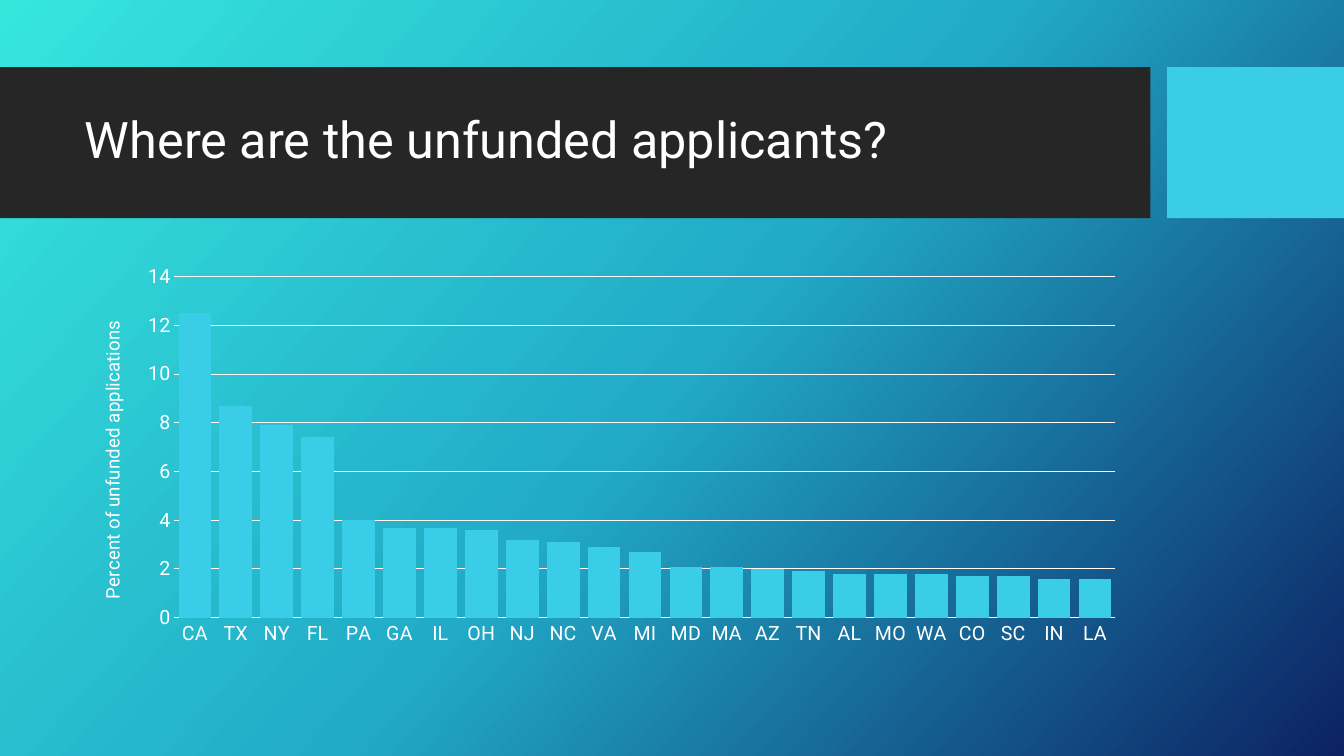
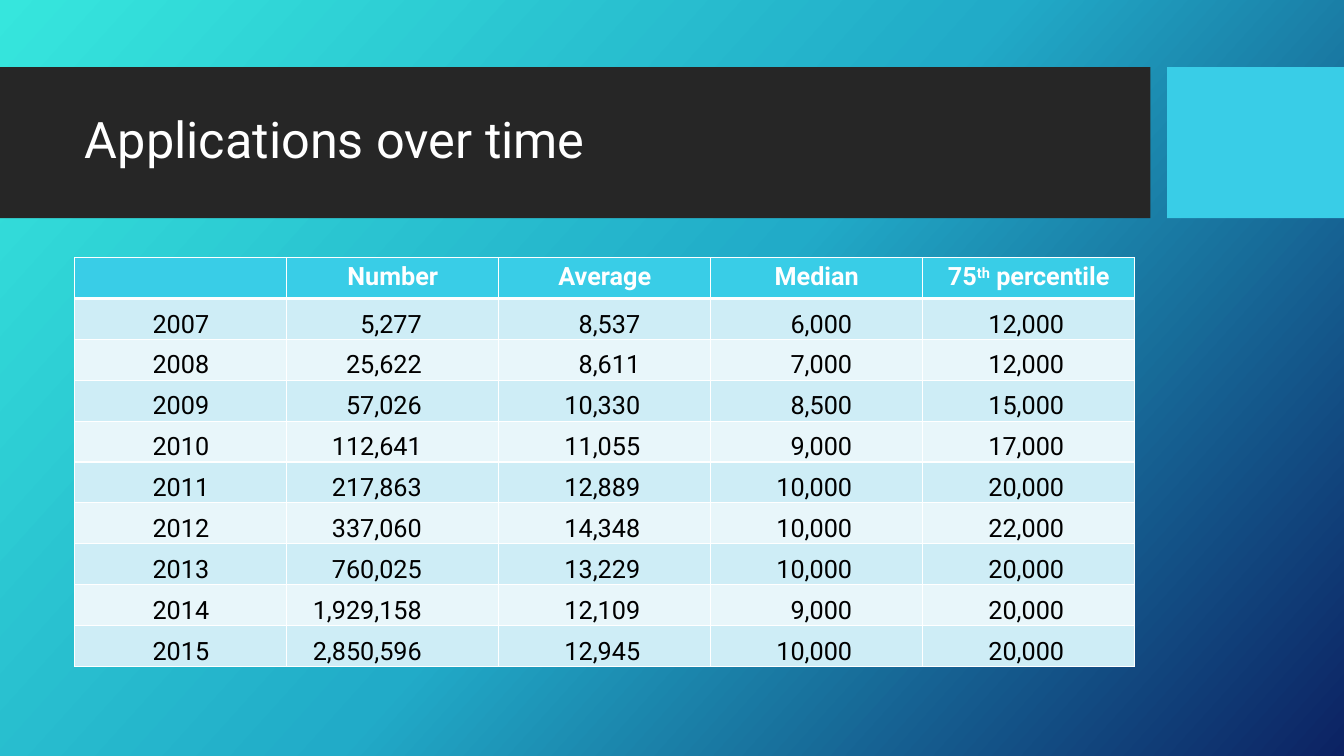
from copy import deepcopy

from pptx import Presentation
from pptx.chart.data import CategoryChartData
from pptx.dml.color import RGBColor
from pptx.enum.chart import XL_CHART_TYPE, XL_TICK_MARK
from pptx.enum.shapes import MSO_SHAPE
from pptx.enum.text import MSO_ANCHOR, PP_ALIGN
from pptx.oxml.ns import qn
from pptx.oxml.xmlchemy import OxmlElement
from pptx.util import Pt

COLUMNS = XL_CHART_TYPE.COLUMN_CLUSTERED
NO_TICKS = XL_TICK_MARK.NONE
RECTANGLE = MSO_SHAPE.RECTANGLE
MIDDLE, BOTTOM = MSO_ANCHOR.MIDDLE, MSO_ANCHOR.BOTTOM
LEFT, CENTER, RIGHT = PP_ALIGN.LEFT, PP_ALIGN.CENTER, PP_ALIGN.RIGHT

COLORS = {
    "gradient start": "36E6DD",
    "gradient middle": "21ABC8",
    "gradient end": "0C2263",
    "band": "262626",
    "accent": "39CDE7",
    "odd row": "CEEDF6",
    "even row": "E8F6FA",
    "white": "FFFFFF",
    "black": "000000",
}
RGB = {name: RGBColor.from_string(value) for name, value in COLORS.items()}
FONT = "Roboto"
CONTENT_LEFT, CONTENT_TOP, CONTENT_WIDTH = 53.5, 184, 757


def format_font(font, color, size, bold=False):
    for name, value in {"name": FONT, "size": Pt(size), "bold": bold}.items():
        setattr(font, name, value)
    font.color.rgb = RGB[color]


def place_in_chart(parent, **values):
    """Give a chart element a fixed place, in fractions of the chart."""
    layout = parent.find(qn("c:layout"))
    if layout is None:
        layout = OxmlElement("c:layout")
        parent.insert(0, layout)
    manual = OxmlElement("c:manualLayout")
    layout.append(manual)
    for name, value in values.items():
        setting = OxmlElement(f"c:{name}")
        setting.set("val", str(value))
        manual.append(setting)


presentation = Presentation()
presentation.slide_width, presentation.slide_height = Pt(960), Pt(540)

# Shared layout: gradient, title place and bands
layout = presentation.slide_layouts[5]
fill = layout.background.fill
fill.gradient()
fill.gradient_angle = 360 - 42
stop_list = layout.element.find(".//" + qn("a:gsLst"))
stop_list.append(deepcopy(stop_list[-1]))
for stop, position, part in zip(fill.gradient_stops, (0, 0.5, 1), ("start", "middle", "end")):
    stop.position = position
    stop.color.rgb = RGB[f"gradient {part}"]

for placeholder in list(layout.placeholders):
    if placeholder.placeholder_format.idx == 0:
        placeholder.left, placeholder.top = Pt(CONTENT_LEFT), Pt(59)
        placeholder.width, placeholder.height = Pt(CONTENT_WIDTH), Pt(85)
    else:
        layout.shapes.element.remove(placeholder.element)

slides = []
for title in ("Where are the unfunded applicants?", "Applications over time"):
    slide = presentation.slides.add_slide(layout)
    text_frame = slide.shapes.title.text_frame
    text_frame.text = title
    text_frame.vertical_anchor = MIDDLE
    paragraph = text_frame.paragraphs[0]
    paragraph.alignment = LEFT
    paragraph.line_spacing = 0.9
    format_font(paragraph.runs[0].font, "white", 36)
    slides.append(slide)
chart_slide, table_slide = slides

bands = []
for left, width, color in ((0, 821.8, "band"), (833.6, 126.4, "accent")):
    band = chart_slide.shapes.add_shape(RECTANGLE, Pt(left), Pt(48), Pt(width), Pt(107.8))
    band.shadow.inherit = False
    band.fill.solid()
    band.fill.fore_color.rgb = RGB[color]
    band.line.fill.background()
    bands.append(band)
for band in bands:
    layout.shapes.element.insert(2, band.element)

# Slide 1: column chart
unfunded_percent = {
    "CA": 12.5, "TX": 8.7, "NY": 7.9, "FL": 7.4, "PA": 4, "GA": 3.7, "IL": 3.7, "OH": 3.6,
    "NJ": 3.2, "NC": 3.1, "VA": 2.9, "MI": 2.7, "MD": 2.1, "MA": 2.1, "AZ": 2, "TN": 1.9,
    "AL": 1.8, "MO": 1.8, "WA": 1.8, "CO": 1.7, "SC": 1.7, "IN": 1.6, "LA": 1.6,
}
chart_data = CategoryChartData(number_format="0")
chart_data.categories = list(unfunded_percent)
chart_data.add_series("Series 1", list(unfunded_percent.values()))
chart = chart_slide.shapes.add_chart(
    COLUMNS, Pt(CONTENT_LEFT), Pt(CONTENT_TOP), Pt(CONTENT_WIDTH), Pt(283.7), chart_data
).chart
chart.has_title = chart.has_legend = False
format_font(chart.font, "white", 10)

plot = chart.plots[0]
plot.gap_width, plot.overlap, plot.vary_by_categories = 25, -27, False
bar_fill = plot.series[0].format.fill
bar_fill.solid()
bar_fill.fore_color.rgb = RGB["accent"]

category_axis, value_axis = chart.category_axis, chart.value_axis
for axis in (category_axis, value_axis):
    axis.major_tick_mark = axis.minor_tick_mark = NO_TICKS
    format_font(axis.tick_labels.font, "white", 14)
value_axis.minimum_scale, value_axis.maximum_scale, value_axis.major_unit = 0, 14, 2
value_axis.tick_labels.number_format = "0"
value_axis.tick_labels.number_format_is_linked = False
value_axis.has_major_gridlines = True
value_axis.format.line.fill.background()
for line in (category_axis.format.line, value_axis.major_gridlines.format.line):
    line.color.rgb = RGB["white"]
    line.width = Pt(0.75)

axis_title = value_axis.axis_title
axis_title.text_frame.text = "Percent of unfunded applications"
format_font(axis_title.text_frame.paragraphs[0].runs[0].font, "white", 13.3)
title_element = value_axis.axis_title.format.element if hasattr(axis_title.format, "element") else axis_title.element
title_element.find(".//" + qn("a:bodyPr")).set("rot", "-5400000")
place_in_chart(title_element, xMode="edge", yMode="edge", x=0.02, y=0.15)
plot_area = chart.element.find(".//" + qn("c:plotArea")) if hasattr(chart, "element") else None
place_in_chart(plot_area, layoutTarget="inner", xMode="edge", yMode="edge",
               x=0.094, y=0.048, w=0.888, h=0.859)

# Slide 2: table
headers = (("",), ("Number",), ("Average",), ("Median",), ("75", "th", " percentile"))
rows = (
    ("2007", "5,277", "8,537", "6,000", "12,000"),
    ("2008", "25,622", "8,611", "7,000", "12,000"),
    ("2009", "57,026", "10,330", "8,500", "15,000"),
    ("2010", "112,641", "11,055", "9,000", "17,000"),
    ("2011", "217,863", "12,889", "10,000", "20,000"),
    ("2012", "337,060", "14,348", "10,000", "22,000"),
    ("2013", "760,025", "13,229", "10,000", "20,000"),
    ("2014", "1,929,158", "12,109", "9,000", "20,000"),
    ("2015", "2,850,596", "12,945", "10,000", "20,000"),
)
right_margins = (0.7, 55, 50.4, 50.4, 50.4)
row_height = 29.2
table = table_slide.shapes.add_table(
    len(rows) + 1, len(headers), Pt(CONTENT_LEFT), Pt(CONTENT_TOP),
    Pt(CONTENT_WIDTH), Pt(row_height * (len(rows) + 1))
).table
for row in table.rows:
    row.height = Pt(row_height)

for column, parts in enumerate(headers):
    paragraph = table.cell(0, column).text_frame.paragraphs[0]
    paragraph.alignment = CENTER
    for part in filter(None, parts):
        run = paragraph.add_run()
        run.text = part
        format_font(run.font, "white", 18, bold=True)
        if part == "th":
            run._r.get_or_add_rPr().set("baseline", "30000")

for row_number, values in enumerate(rows, start=1):
    for column, value in enumerate(values):
        cell = table.cell(row_number, column)
        cell.text = value
        cell.vertical_anchor = BOTTOM
        cell.margin_left = cell.margin_top = Pt(0.7)
        cell.margin_right, cell.margin_bottom = Pt(right_margins[column]), 0
        paragraph = cell.text_frame.paragraphs[0]
        paragraph.alignment = RIGHT if column else CENTER
        format_font(paragraph.runs[0].font, "black", 18)

for row_number, row in enumerate(table.rows):
    row_color = "accent" if row_number == 0 else ("even row", "odd row")[row_number % 2]
    widths = {"lnL": 1, "lnR": 1, "lnT": 3 if row_number == 1 else 1, "lnB": 1 if row_number else 3}
    for cell in row.cells:
        cell.fill.solid()
        cell.fill.fore_color.rgb = RGB[row_color]
        properties = cell._tc.get_or_add_tcPr()
        for position, (side, width) in enumerate(widths.items()):
            border = OxmlElement(f"a:{side}")
            border.set("w", str(Pt(width)))
            solid_fill = OxmlElement("a:solidFill")
            border_color = OxmlElement("a:srgbClr")
            border_color.set("val", COLORS["white"])
            solid_fill.append(border_color)
            border.append(solid_fill)
            properties.insert(position, border)

presentation.save("out.pptx")
